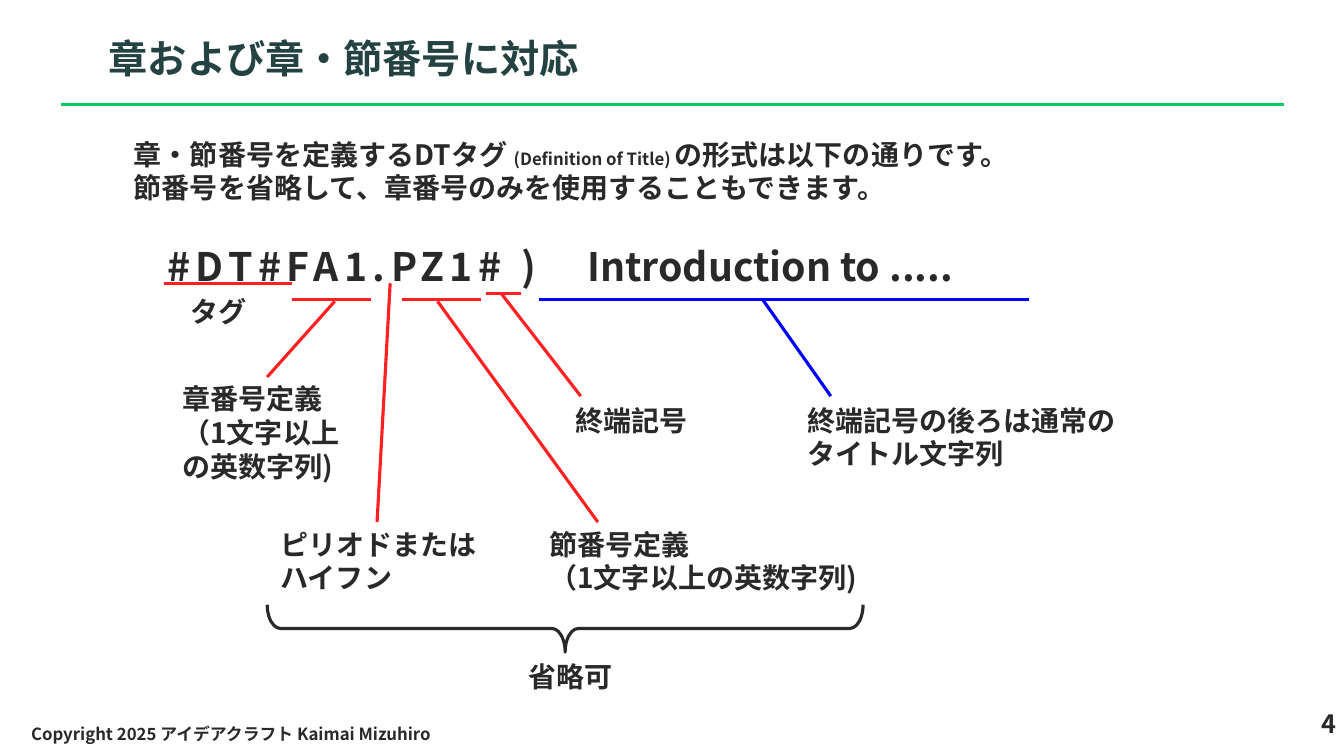
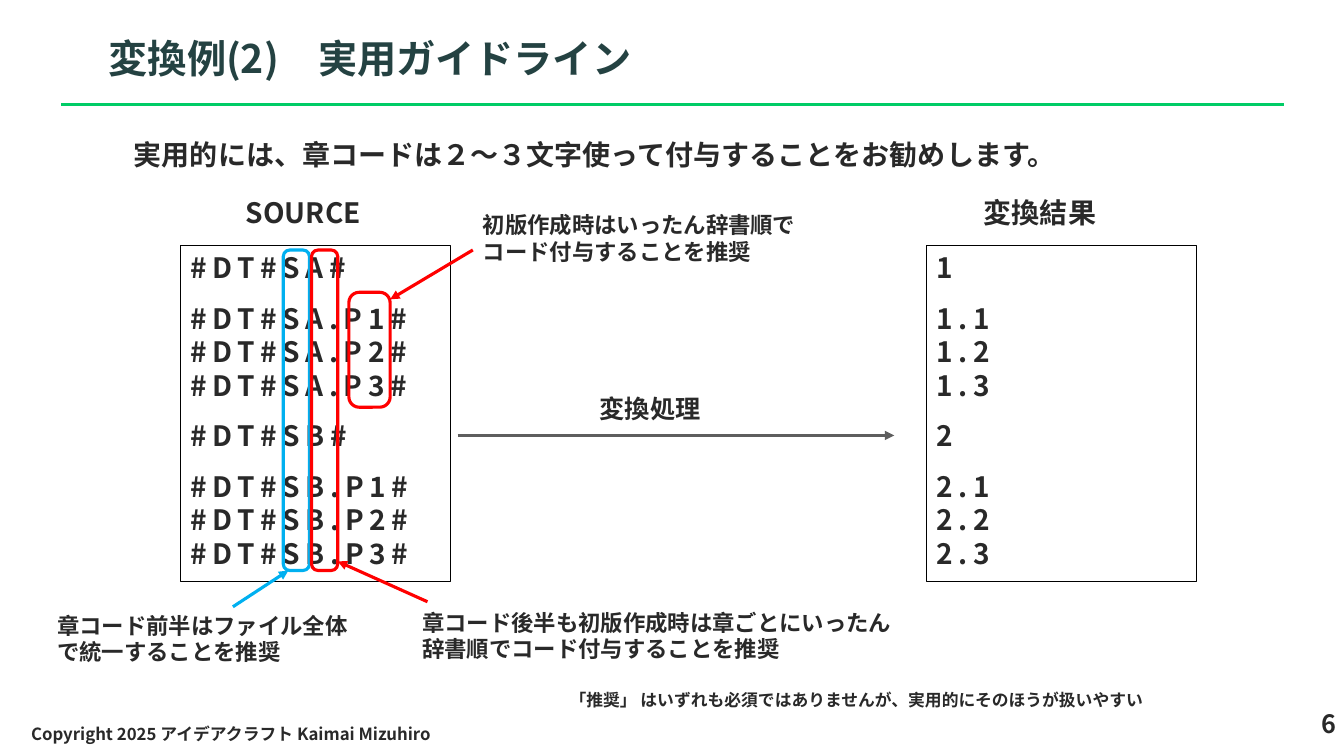
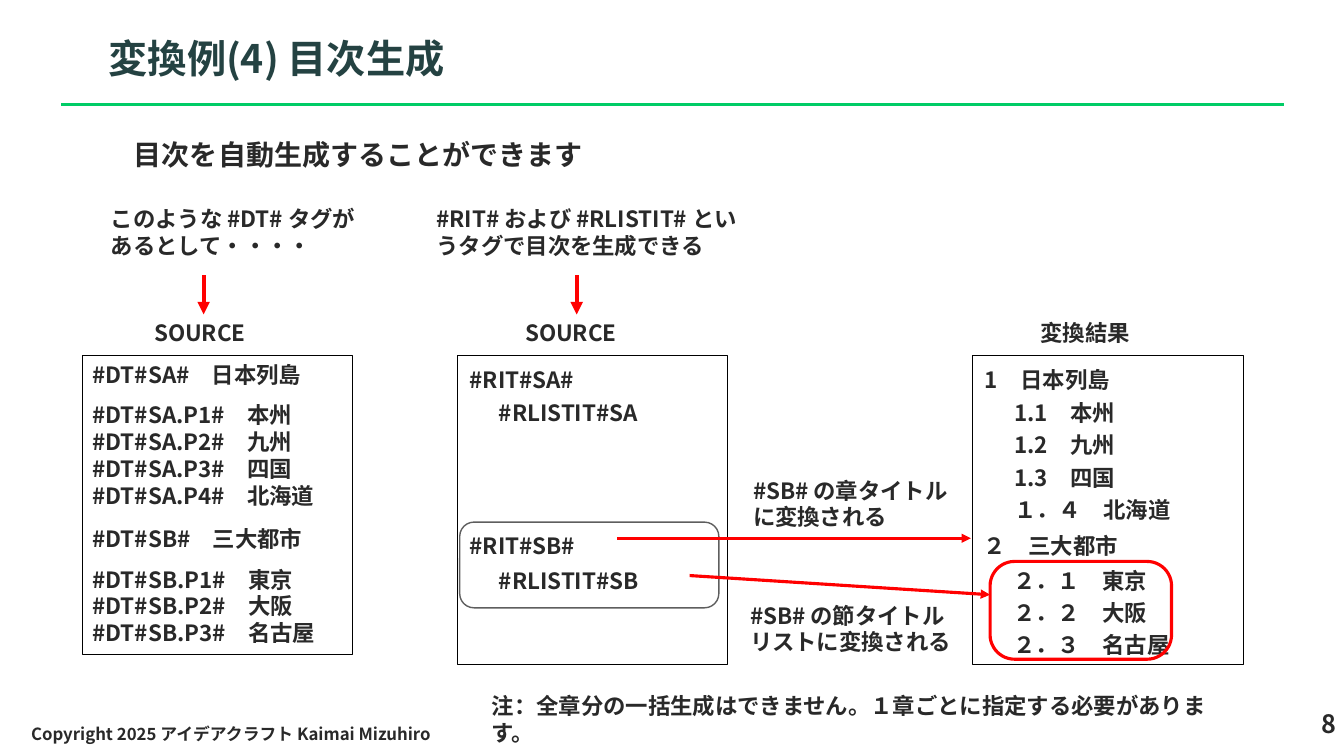
from collections.abc import Sequence
from dataclasses import dataclass, field

from pptx import Presentation
from pptx.dml.color import RGBColor
from pptx.enum.shapes import MSO_CONNECTOR, MSO_SHAPE
from pptx.enum.text import MSO_ANCHOR, PP_ALIGN
from pptx.oxml import parse_xml
from pptx.oxml.ns import nsdecls
from pptx.slide import Slide
from pptx.text.text import Font, TextFrame
from pptx.util import Inches, Pt


@dataclass(frozen=True)
class Theme:
    font: str = "Noto Sans CJK JP"
    ink: str = "292929"
    title_ink: str = "244242"
    rule: str = "00CC66"
    mark: str = "FF2121"
    blue: str = "0000FF"
    red: str = "FF0000"
    sky: str = "00B0F0"
    grey: str = "5E5E5E"
    black: str = "000000"
    title: float = 28
    body: float = 20
    page: float = 18
    note: float = 16
    small: float = 12
    tracking: float = 4
    stroke: float = 2.25


THEME = Theme()


@dataclass(frozen=True)
class Span:
    """A part of a line with its own size or letter spacing."""
    text: str
    size: float | None = None
    tracking: float = 0


Line = str | tuple[Span, ...]


@dataclass(frozen=True)
class Label:
    lines: Sequence[Line]
    left: float
    top: float
    width: float
    height: float
    size: float = THEME.body
    color: str = THEME.ink
    tracking: float = 0
    spacing: float | None = None
    align: PP_ALIGN = PP_ALIGN.LEFT
    anchor: MSO_ANCHOR = MSO_ANCHOR.TOP
    gaps: dict[int, float] = field(default_factory=dict)  # line index: points before
    framed: bool = False


@dataclass(frozen=True)
class Stroke:
    start: tuple[float, float]
    end: tuple[float, float]
    color: str = THEME.mark
    width: float = THEME.stroke
    arrow: bool = False


@dataclass(frozen=True)
class Outline:
    left: float
    top: float
    width: float
    height: float
    color: str = THEME.black
    weight: float = 0.75
    kind: MSO_SHAPE = MSO_SHAPE.RECTANGLE
    adjustments: tuple[float, ...] = ()
    rotation: float = 0


Part = Label | Stroke | Outline


# Drawing functions
def set_tracking(font: Font, points: float) -> None:
    font._element.set("spc", str(int(points * 100)))


def style_font(font: Font, label: Label) -> None:
    font.name = THEME.font
    font.size = Pt(label.size)
    font.bold = True
    font.color.rgb = RGBColor.from_string(label.color)
    latin = font._element.find("{*}latin")
    latin.addnext(parse_xml(f'<a:ea {nsdecls("a")} typeface="{THEME.font}"/>'))
    if label.tracking:
        set_tracking(font, label.tracking)


def fill_text(frame: TextFrame, label: Label) -> None:
    frame.word_wrap = True
    frame.vertical_anchor = label.anchor
    for index, line in enumerate(label.lines):
        paragraph = frame.add_paragraph() if index else frame.paragraphs[0]
        paragraph.alignment = label.align
        if label.spacing:
            paragraph.line_spacing = label.spacing
        if index in label.gaps:
            paragraph.space_before = Pt(label.gaps[index])
        style_font(paragraph.font, label)
        for span in (Span(line),) if isinstance(line, str) else line:
            run = paragraph.add_run()
            run.text = span.text
            if span.size:
                run.font.size = Pt(span.size)
            if span.tracking:
                set_tracking(run.font, span.tracking)


def draw_outline(slide: Slide, outline: Outline):
    shape = slide.shapes.add_shape(
        outline.kind, Inches(outline.left), Inches(outline.top),
        Inches(outline.width), Inches(outline.height))
    shape.shadow.inherit = False
    shape.fill.background()
    shape.line.color.rgb = RGBColor.from_string(outline.color)
    shape.line.width = Pt(outline.weight)
    shape.rotation = outline.rotation
    for index, value in enumerate(outline.adjustments):
        shape.adjustments[index] = value
    return shape


def draw_label(slide: Slide, label: Label) -> None:
    if label.framed:
        holder = draw_outline(
            slide, Outline(label.left, label.top, label.width, label.height))
    else:
        holder = slide.shapes.add_textbox(
            Inches(label.left), Inches(label.top),
            Inches(label.width), Inches(label.height))
    fill_text(holder.text_frame, label)


def draw_stroke(slide: Slide, stroke: Stroke) -> None:
    ends = [Inches(value) for value in (*stroke.start, *stroke.end)]
    connector = slide.shapes.add_connector(MSO_CONNECTOR.STRAIGHT, *ends)
    connector.line.color.rgb = RGBColor.from_string(stroke.color)
    connector.line.width = Pt(stroke.width)
    if stroke.arrow:
        connector.line._get_or_add_ln().append(
            parse_xml(f'<a:tailEnd {nsdecls("a")} type="triangle"/>'))
    connector._element.spPr.append(parse_xml(f'<a:effectLst {nsdecls("a")}/>'))


def draw_parts(slide: Slide, parts: Sequence[Part]) -> None:
    for part in parts:
        if isinstance(part, Label):
            draw_label(slide, part)
        elif isinstance(part, Stroke):
            draw_stroke(slide, part)
        else:
            draw_outline(slide, part)


# Parts that recur
def slide_frame(title: str, lead: Sequence[Line], number: int) -> list[Part]:
    return [
        Stroke((0.61, 1.04), (12.73, 1.04), THEME.rule),
        Label([title], 0.98, 0.29, 11.98, 0.71, THEME.title, THEME.title_ink),
        Label([str(number)], 11.71, 6.98, 1.64, 0.5, THEME.page,
              align=PP_ALIGN.RIGHT),
        Label(["Copyright 2025 アイデアクラフト Kaimai Mizuhiro"],
              0.21, 7.08, 6.06, 0.4, THEME.small, anchor=MSO_ANCHOR.MIDDLE),
        Label(lead, 1.23, 1.31, 10.47, 0.1 + len(lead) / 3),
    ]


def note(lines: Sequence[str], left: float, top: float, width: float,
         height: float = 0.64) -> Label:
    return Label(lines, left, top, width, height, THEME.note)


def arrow(start: tuple[float, float], end: tuple[float, float],
          color: str = THEME.red, width: float = THEME.stroke) -> Stroke:
    return Stroke(start, end, color, width, arrow=True)


def highlight(left: float, top: float, width: float, height: float,
              color: str = THEME.red) -> Outline:
    return Outline(left, top, width, height, color, THEME.stroke,
                   MSO_SHAPE.ROUNDED_RECTANGLE, (0.25,))


# Slide: chapter and section numbers
def chapter_parts() -> list[Part]:
    lead = [
        (Span("章・節番号を定義するDTタグ "),
         Span("(Definition of Title) ", THEME.small),
         Span("の形式は以下の通りです。")),
        "節番号を省略して、章番号のみを使用することもできます。",
    ]
    tag_format = (Span("#DT#FA1.PZ1# )　", tracking=THEME.tracking),
                  Span("Introduction to ....."))
    definition = "（1文字以上の英数字列)"
    return [
        *slide_frame("章および章・節番号に対応", lead, 4),
        Label([tag_format], 1.56, 2.35, 9.98, 0.57, THEME.title),
        # Underlines of the format parts
        *(Stroke((left, y), (right, y)) for left, right, y in (
            (1.63, 2.9, 2.81), (2.9, 3.68, 2.97),
            (3.99, 4.77, 2.97), (4.82, 5.17, 2.91))),
        Stroke((5.35, 2.97), (10.21, 2.97), THEME.blue),
        # Leaders to the explanations
        Stroke((3.74, 5.18), (3.87, 2.81)),
        Stroke((2.65, 3.74), (3.32, 2.99)),
        Stroke((5.93, 5.18), (4.34, 2.99)),
        Stroke((5.76, 3.93), (4.97, 2.91)),
        Stroke((8.24, 3.93), (7.57, 2.98), THEME.blue),
        # Explanations
        Label(["タグ"], 1.79, 2.87, 0.8, 0.44),
        Label(["章番号定義", definition], 1.71, 3.74, 1.88, 1.11),
        Label(["ピリオドまたはハイフン"], 2.68, 5.18, 2.24, 0.77),
        Label(["節番号定義", definition], 5.35, 5.18, 3.52, 0.77),
        Label(["終端記号"], 5.61, 3.95, 1.68, 0.44),
        Label(["終端記号の後ろは通常のタイトル文字列"], 7.91, 3.95, 3.31, 0.77),
        # Optional range
        Outline(5.37, 3.28, 0.47, 5.91, THEME.ink, THEME.stroke,
                MSO_SHAPE.RIGHT_BRACE, (0.28, 0.5), 90),
        Label(["省略可"], 5.14, 6.49, 1.22, 0.44),
    ]


# Slide: practical guideline
def guideline_parts() -> list[Part]:
    codes = ["SA", "SA.P1", "SA.P2", "SA.P3", "SB", "SB.P1", "SB.P2", "SB.P3"]
    numbers = ["1", "1.1", "1.2", "1.3", "2", "2.1", "2.2", "2.3"]
    listings = ((1.79, 2.34, "SOURCE", [f"#DT#{code}#" for code in codes]),
                (9.19, 9.66, "変換結果", numbers))
    parts: list[Part] = slide_frame(
        "変換例(2)　実用ガイドライン",
        ["実用的には、章コードは２～３文字使って付与することをお勧めします。"], 6)
    for left, heading_left, heading, lines in listings:
        parts += [
            Label(lines, left, 2.44, 2.68, 3.33, tracking=THEME.tracking,
                  gaps={1: 12, 4: 12, 5: 12}, framed=True),
            Label([heading], heading_left, 1.89, 1.81, 0.44),
        ]
    return parts + [
        # Highlighted code parts and their advice
        highlight(2.81, 2.48, 0.26, 3.18, THEME.sky),
        highlight(3.09, 2.48, 0.26, 3.18),
        highlight(3.46, 2.9, 0.41, 1.14),
        arrow((2.31, 6.02), (2.86, 5.66), THEME.sky),
        arrow((4.24, 5.97), (3.35, 5.57)),
        arrow((4.69, 2.48), (3.87, 2.97)),
        note(["章コード前半はファイル全体で統一することを推奨"], 0.47, 6.02, 3.2),
        note(["章コード後半も初版作成時は章ごとにいったん辞書順でコード付与することを推奨"],
             4.09, 5.99, 4.88),
        note(["初版作成時はいったん辞書順でコード付与することを推奨"], 4.69, 2.05, 3.32),
        # Conversion
        arrow((4.54, 4.32), (8.87, 4.32), THEME.grey),
        Label(["変換処理"], 5.85, 3.85, 2.65, 0.4, THEME.page),
        Label(["「推奨」 はいずれも必須ではありませんが、実用的にそのほうが扱いやすい"],
              5.55, 6.79, 6.65, 0.3, THEME.small),
    ]


# Slide: table of contents
def contents_parts() -> list[Part]:
    source = ["#DT#SA#　日本列島", "#DT#SA.P1#　本州", "#DT#SA.P2#　九州",
              "#DT#SA.P3#　四国", "#DT#SA.P4#　北海道", "#DT#SB#　三大都市",
              "#DT#SB.P1#　東京", "#DT#SB.P2#　大阪", "#DT#SB.P3#　名古屋"]
    entries = (
        (4.56, 3.53, ["#RIT#SA#"]),
        (4.85, 3.86, ["#RLISTIT#SA"]),
        (4.56, 5.18, ["#RIT#SB#"]),
        (4.85, 5.52, ["#RLISTIT#SB"]),
        (9.67, 3.53, ["1　日本列島"]),
        (9.96, 3.86, ["1.1　本州", "1.2　九州", "1.3　四国", "１．４　北海道"]),
        (9.66, 5.18, ["２　三大都市"]),
        (9.95, 5.52, ["２．１　東京", "２．２　大阪", "２．３　名古屋"]),
    )
    headings = ((1.43, "SOURCE"), (5.11, "SOURCE"), (10.22, "変換結果"))
    return [
        *slide_frame("変換例(4) 目次生成", ["目次を自動生成することができます"], 8),
        # Listings
        Label(source, 0.82, 3.53, 2.68, 2.96, THEME.note,
              gaps={1: 9.6, 5: 12, 6: 9.6}, framed=True),
        *(Outline(left, 3.53, 2.68, 3.06) for left in (4.54, 9.65)),
        *(note([heading], left, 3.12, 1.81, 0.37) for left, heading in headings),
        *(Label(lines, left, top, 2.28, 0.06 + 0.32 * len(lines), THEME.note,
                spacing=1.2) for left, top, lines in entries),
        # Introductions
        note(["このような #DT# タグがあるとして・・・・"], 1, 1.99, 2.68),
        note(["#RIT# および #RLISTIT# というタグで目次を生成できる"], 4.23, 1.99, 3.31),
        *(arrow((x, 2.73), (x, 3.12), width=3) for x in (2.02, 5.72)),
        # Conversion of the second chapter
        Outline(4.56, 5.18, 2.57, 0.85, THEME.grey, 1,
                MSO_SHAPE.ROUNDED_RECTANGLE),
        arrow((6.12, 5.34), (9.63, 5.34)),
        arrow((6.84, 5.71), (9.82, 5.9)),
        highlight(9.82, 5.57, 1.8, 0.97),
        note(["#SB# の章タイトル", "に変換される"], 7.37, 4.68, 2.58),
        note(["#SB# の節タイトル", "リストに変換される"], 7.34, 5.92, 2.58),
        note(["注：全章分の一括生成はできません。１章ごとに指定する必要があります。"],
             4.78, 6.82, 7.48, 0.37),
    ]


def main() -> None:
    deck = Presentation()
    deck.slide_width, deck.slide_height = Inches(13.33), Inches(7.5)
    blank = deck.slide_layouts[6]
    for parts in (chapter_parts(), guideline_parts(), contents_parts()):
        draw_parts(deck.slides.add_slide(blank), parts)
    deck.save("out.pptx")


if __name__ == "__main__":
    main()
